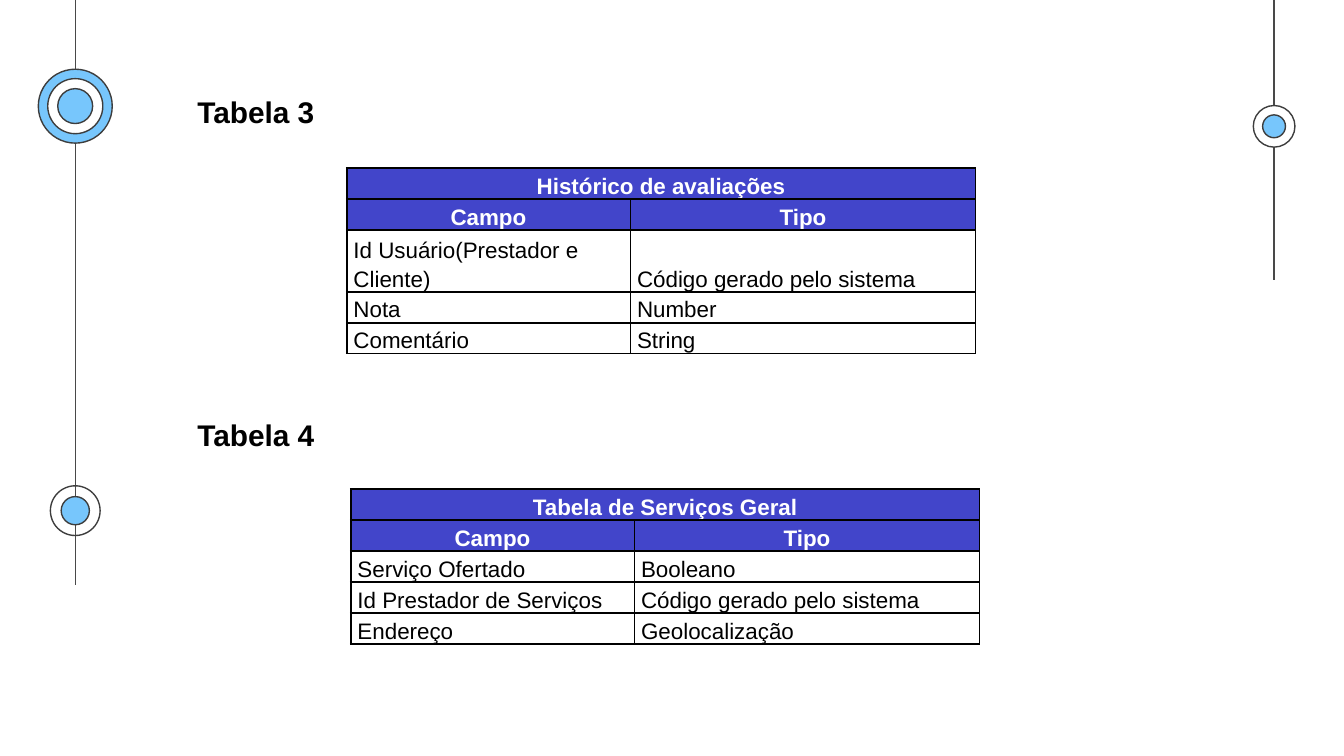
from lxml.etree import SubElement
from pptx import Presentation
from pptx.dml.color import RGBColor
from pptx.enum.shapes import MSO_CONNECTOR, MSO_SHAPE
from pptx.enum.text import MSO_ANCHOR, MSO_AUTO_SIZE, PP_ALIGN
from pptx.oxml.ns import qn
from pptx.util import Inches, Pt

BLACK = RGBColor(0x00, 0x00, 0x00)
WHITE = RGBColor(0xFF, 0xFF, 0xFF)
HEADER_BLUE = RGBColor(0x42, 0x45, 0xCA)
SKY_BLUE = RGBColor(0x77, 0xC6, 0xFC)
RAIL_GRAY = RGBColor(0x49, 0x49, 0x49)
RING_GRAY = RGBColor(0x3D, 0x3D, 0x3D)

SLIDE_WIDTH = Inches(10)
SLIDE_HEIGHT = SLIDE_WIDTH * 9 // 16
COLUMN_WIDTHS = (2.11, 2.57)
ROW_HEIGHT = 0.21
HEADER_ROWS = 2
LEFT_RAIL = 0.56
RIGHT_RAIL = 9.48

CELL_FORMAT = {
    "margin_left": Inches(0.05),
    "margin_right": Inches(0.05),
    "margin_top": 0,
    "margin_bottom": 0,
    "vertical_anchor": MSO_ANCHOR.BOTTOM,
}
TITLE_FONT = {"name": "Arial", "size": Pt(16), "bold": True}
HEADER_FONT = {"name": "Arial", "size": Pt(12), "bold": True}
BODY_FONT = {"name": "Arial", "size": Pt(12), "bold": False}

RAILS = [(LEFT_RAIL, 4.35), (RIGHT_RAIL, 2.08)]
TARGETS = [
    (LEFT_RAIL, 3.8, [(0.37, None), (0.21, SKY_BLUE)]),
    (RIGHT_RAIL, 0.94, [(0.31, WHITE), (0.17, SKY_BLUE)]),
    (LEFT_RAIL, 0.79, [(0.55, SKY_BLUE), (0.41, WHITE), (0.26, SKY_BLUE)]),
]
SECTIONS = [
    ("Tabela 3", 0.65, 2.58, 1.25, [
        ("Histórico de avaliações", ""),
        ("Campo", "Tipo"),
        ("Id Usuário(Prestador e Cliente)", "Código gerado pelo sistema"),
        ("Nota", "Number"),
        ("Comentário", "String"),
    ]),
    ("Tabela 4", 3.05, 2.61, 3.64, [
        ("Tabela de Serviços Geral", ""),
        ("Campo", "Tipo"),
        ("Serviço Ofertado", "Booleano"),
        ("Id Prestador de Serviços", "Código gerado pelo sistema"),
        ("Endereço", "Geolocalização"),
    ]),
]


def apply_format(target, values):
    for name, value in values.items():
        setattr(target, name, value)


def add_rail(slide, x, length):
    rail = slide.shapes.add_connector(
        MSO_CONNECTOR.STRAIGHT, Inches(x), 0, Inches(x), Inches(length))
    rail.line.color.rgb = RAIL_GRAY
    rail.line.width = Pt(0.75)
    SubElement(rail._element.spPr, qn("a:effectLst"))


def add_target(slide, x, y, rings):
    for diameter, color in rings:
        ring = slide.shapes.add_shape(
            MSO_SHAPE.OVAL, Inches(x - diameter / 2), Inches(y - diameter / 2),
            Inches(diameter), Inches(diameter))
        ring.shadow.inherit = False
        ring.line.color.rgb = RING_GRAY
        ring.line.width = Pt(0.75)
        if color is None:
            ring.fill.background()
        else:
            ring.fill.solid()
            ring.fill.fore_color.rgb = color


def add_styled_run(paragraph, text, font, color):
    run = paragraph.add_run()
    run.text = text
    apply_format(run.font, font)
    run.font.color.rgb = color


def add_title(slide, text, top):
    title = slide.shapes.add_textbox(
        Inches(1.37), Inches(top), Inches(1.1), Inches(0.37)).text_frame
    apply_format(title, {"word_wrap": False,
                         "auto_size": MSO_AUTO_SIZE.SHAPE_TO_FIT_TEXT})
    add_styled_run(title.paragraphs[0], text, TITLE_FONT, BLACK)


def add_borders(cell):
    properties = cell._tc.get_or_add_tcPr()
    for side in ("a:lnL", "a:lnR", "a:lnT", "a:lnB"):
        border = SubElement(properties, qn(side), w=str(Pt(1)))
        fill = SubElement(border, qn("a:solidFill"))
        SubElement(fill, qn("a:srgbClr"), val=str(BLACK))


def fill_cell(cell, text, is_header):
    add_borders(cell)
    apply_format(cell, CELL_FORMAT)
    if is_header:
        cell.fill.solid()
        cell.fill.fore_color.rgb = HEADER_BLUE
    else:
        cell.fill.background()
    paragraph = cell.text_frame.paragraphs[0]
    paragraph.line_spacing = 1.15
    paragraph.alignment = PP_ALIGN.CENTER if is_header else PP_ALIGN.LEFT
    font = HEADER_FONT if is_header else BODY_FONT
    apply_format(paragraph.font, font)
    if text:
        add_styled_run(paragraph, text, font, WHITE if is_header else BLACK)


def add_field_table(slide, left, top, rows):
    table = slide.shapes.add_table(
        len(rows), len(COLUMN_WIDTHS), Inches(left), Inches(top),
        Inches(sum(COLUMN_WIDTHS)), Inches(ROW_HEIGHT * len(rows))).table
    apply_format(table, {"first_row": False, "horz_banding": False})
    for column, width in zip(table.columns, COLUMN_WIDTHS):
        column.width = Inches(width)
    for row_index, texts in enumerate(rows):
        table.rows[row_index].height = Inches(ROW_HEIGHT)
        for column_index, text in enumerate(texts):
            fill_cell(table.cell(row_index, column_index), text,
                      row_index < HEADER_ROWS)
    table.cell(0, 0).merge(table.cell(0, 1))


def main():
    presentation = Presentation()
    apply_format(presentation, {"slide_width": SLIDE_WIDTH,
                                "slide_height": SLIDE_HEIGHT})
    slide = presentation.slides.add_slide(presentation.slide_layouts[6])
    for x, length in RAILS:
        add_rail(slide, x, length)
    for x, y, rings in TARGETS:
        add_target(slide, x, y, rings)
    for title, title_top, table_left, table_top, rows in SECTIONS:
        add_title(slide, title, title_top)
        add_field_table(slide, table_left, table_top, rows)
    presentation.save("out.pptx")


if __name__ == "__main__":
    main()
